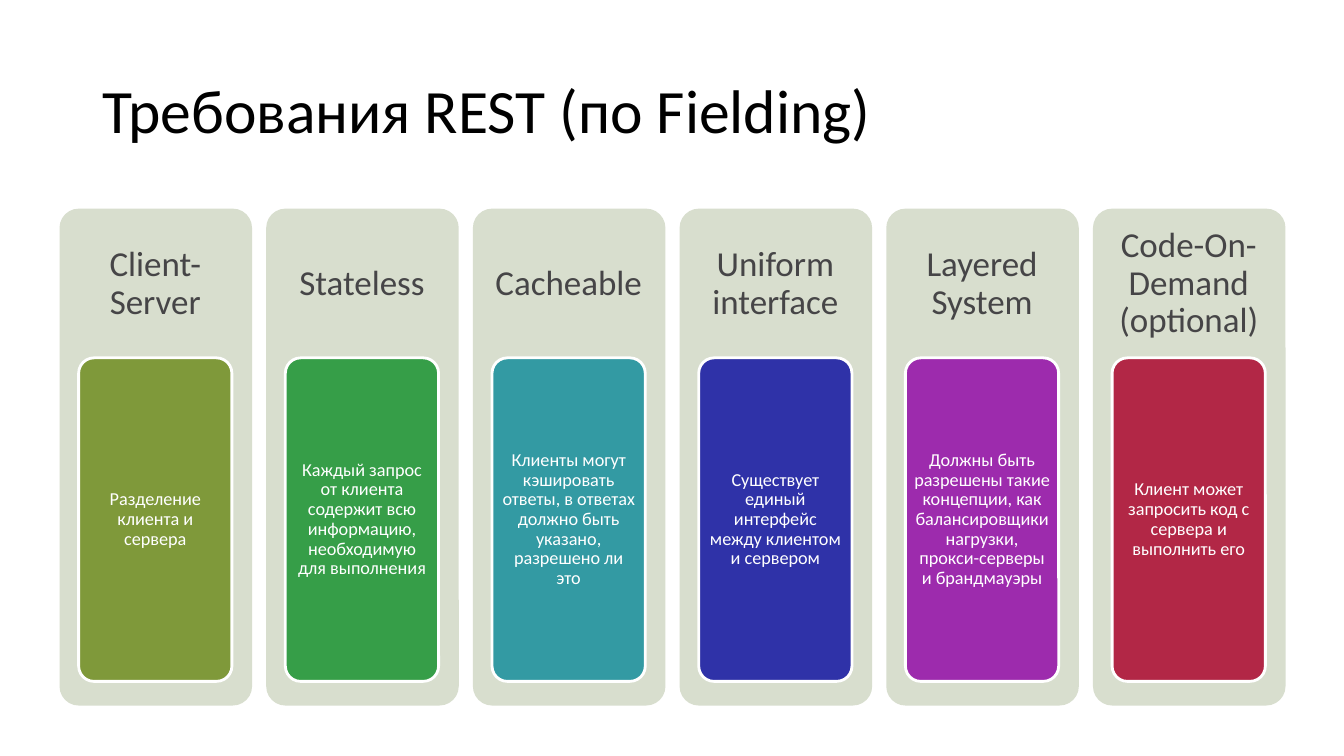
from pptx import Presentation
from pptx.dml.color import RGBColor
from pptx.enum import shapes, text
from pptx.util import Inches, Pt

TITLE = "Требования REST (по Fielding)"
CONSTRAINTS = [
    ("Client-Server", "Разделение клиента и сервера", RGBColor(0x7F, 0x99, 0x3A)),
    ("Stateless", "Каждый запрос от клиента содержит всю информацию, "
     "необходимую для выполнения", RGBColor(0x36, 0x9E, 0x48)),
    ("Cacheable", "Клиенты могут кэшировать ответы, в ответах должно быть "
     "указано, разрешено ли это", RGBColor(0x33, 0x9A, 0xA3)),
    ("Uniform interface", "Существует единый интерфейс между клиентом и сервером",
     RGBColor(0x2F, 0x32, 0xA8)),
    ("Layered System", "Должны быть разрешены такие концепции, как балансировщики "
     "нагрузки, прокси-серверы и брандмауэры", RGBColor(0x9D, 0x2B, 0xAD)),
    ("Code-On-Demand (optional)", "Клиент может запросить код с сервера и выполнить его",
     RGBColor(0xB2, 0x27, 0x46)),
]
BLACK = RGBColor(0, 0, 0)
WHITE = RGBColor(0xFF, 0xFF, 0xFF)
GRAY = RGBColor(0x46, 0x45, 0x47)
PANEL = RGBColor(0xD8, 0xDE, 0xCE)
FIRST_LEFT, COLUMN_STEP = 0.59, 2.05
CENTER, LEFT = text.PP_ALIGN.CENTER, text.PP_ALIGN.LEFT


def write(shape, words, size, color, alignment=CENTER, side=0.1, edge=0.1):
    """Fill a shape with one vertically centred paragraph."""
    frame = shape.text_frame
    frame_format = {
        "word_wrap": True, "auto_size": text.MSO_AUTO_SIZE.NONE,
        "vertical_anchor": text.MSO_ANCHOR.MIDDLE,
        "margin_left": Inches(side), "margin_right": Inches(side),
        "margin_top": Inches(edge), "margin_bottom": Inches(edge),
    }
    for name, value in frame_format.items():
        setattr(frame, name, value)
    paragraph = frame.paragraphs[0]
    paragraph.alignment, paragraph.line_spacing = alignment, 0.9
    run = paragraph.add_run()
    run.text = words
    for name, value in {"name": "Calibri", "size": Pt(size)}.items():
        setattr(run.font, name, value)
    run.font.color.rgb = color


def add_box(slide, left, top, width, height, fill):
    """Add a flat rounded rectangle without an outline."""
    box = slide.shapes.add_shape(
        shapes.MSO_SHAPE.ROUNDED_RECTANGLE,
        Inches(left), Inches(top), Inches(width), Inches(height))
    box.adjustments[0] = 0.1
    box.shadow.inherit = False
    box.fill.solid()
    box.fill.fore_color.rgb = fill
    box.line.fill.background()
    return box


def add_column(slide, left, heading, description, color):
    """Draw one constraint: panel, heading and coloured card."""
    add_box(slide, left, 2.07, 1.91, 4.93, PANEL)
    label = slide.shapes.add_textbox(
        Inches(left + 0.04), Inches(2.12), Inches(1.82), Inches(1.39))
    write(label, heading, 25, GRAY)
    card = add_box(slide, left + 0.19, 3.55, 1.52, 3.21, color)
    card.line.color.rgb = WHITE
    card.line.width = Pt(2)
    write(card, description, 13, WHITE, side=0.04, edge=0.03)


def main():
    """Build and save the slide."""
    presentation = Presentation()
    presentation.slide_width, presentation.slide_height = Inches(13.33), Inches(7.5)
    slide = presentation.slides.add_slide(presentation.slide_layouts[5])
    title = slide.shapes.title
    position = {"left": 0.92, "top": 0.4, "width": 11.5, "height": 1.45}
    for name, value in position.items():
        setattr(title, name, Inches(value))
    write(title, TITLE, 44, BLACK, LEFT, edge=0.05)
    for index, constraint in enumerate(CONSTRAINTS):
        add_column(slide, FIRST_LEFT + index * COLUMN_STEP, *constraint)
    presentation.save("out.pptx")


if __name__ == "__main__":
    main()
